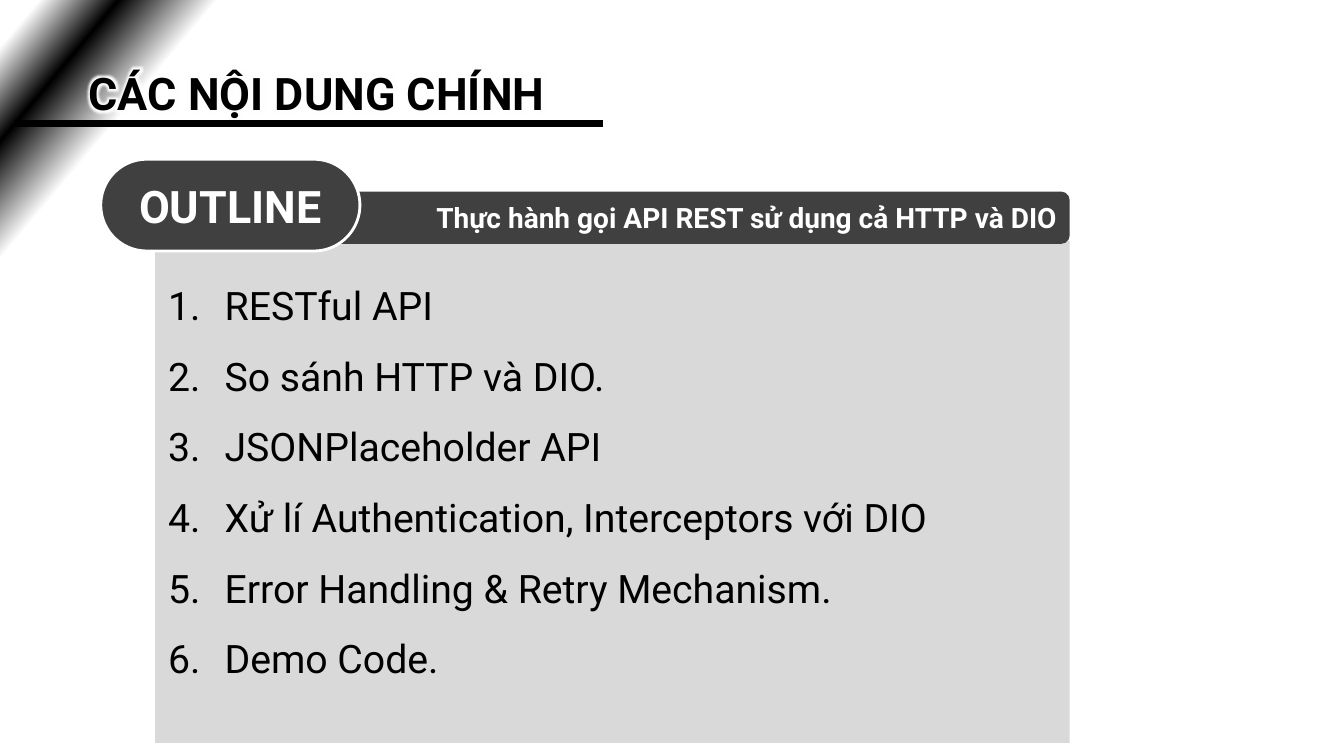
from dataclasses import dataclass

from lxml import etree
from pptx import Presentation
from pptx import util as u
from pptx.dml.color import RGBColor
from pptx.enum import shapes, text
from pptx.oxml import ns


@dataclass(frozen=True)
class Theme:
    font: str = "Roboto"
    black: str = "000000"
    white: str = "FFFFFF"
    dark: str = "404040"
    panel: str = "D9D9D9"
    heading: int = 32
    body: int = 28
    caption: int = 20


THEME = Theme()
TOPICS = (
    "RESTful API",
    "So sánh HTTP và DIO.",
    "JSONPlaceholder API",
    "Xử lí Authentication, Interceptors với DIO",
    "Error Handling & Retry Mechanism.",
    "Demo Code.",
)


def rgb(value):
    return RGBColor.from_string(value)


def element(parent, tag, **attrs):
    return etree.SubElement(parent, ns.qn(tag), attrs)


def add_run(p, content, size, color, bold=False):
    r = p.add_run()
    r.text = content
    r.font.name = THEME.font
    r.font.size = u.Pt(size)
    r.font.bold = bold
    r.font.color.rgb = rgb(color)
    return r


def add_textbox(s, left, top, width, height):
    box = s.shapes.add_textbox(
        u.Inches(left), u.Inches(top), u.Inches(width), u.Inches(height))
    tf = box.text_frame
    tf.word_wrap = True
    tf.auto_size = text.MSO_AUTO_SIZE.SHAPE_TO_FIT_TEXT
    return tf


def add_block(s, kind, left, top, width, height, fill):
    sp = s.shapes.add_shape(
        kind, u.Inches(left), u.Inches(top), u.Inches(width), u.Inches(height))
    sp.shadow.inherit = False
    sp.fill.solid()
    sp.fill.fore_color.rgb = rgb(fill)
    sp.line.fill.background()
    return sp


def add_label(sp, content, size, align):
    tf = sp.text_frame
    tf.word_wrap = True
    tf.vertical_anchor = text.MSO_ANCHOR.MIDDLE
    p = tf.paragraphs[0]
    p.alignment = align
    add_run(p, content, size, THEME.white, True)


def paint_background(s):
    fill = s.background.fill
    fill.gradient()
    grad = s.background._cSld.find(".//" + ns.qn("a:gradFill"))
    for child in list(grad):
        grad.remove(child)
    stops = element(grad, "a:gsLst")
    for position, color in ((2, THEME.white), (6, THEME.black), (11, THEME.white)):
        stop = element(stops, "a:gs", pos=str(position * 1000))
        element(stop, "a:srgbClr", val=color)
    element(grad, "a:lin", ang=str(40 * 60000), scaled="0")


def add_title(s, left, top, width, height):
    tf = add_textbox(s, left, top, width, height)
    r = add_run(tf.paragraphs[0], "CÁC NỘI DUNG CHÍNH",
                THEME.heading, THEME.black, True)
    effects = etree.Element(ns.qn("a:effectLst"))
    glow = element(effects, "a:glow", rad=str(u.Pt(8)))
    element(glow, "a:srgbClr", val=THEME.white)
    r.font._element.find(ns.qn("a:solidFill")).addnext(effects)

    y = u.Inches(top + height - 0.01)
    rule = s.shapes.add_connector(
        shapes.MSO_CONNECTOR.STRAIGHT,
        u.Inches(left - 0.63), y, u.Inches(left + 5.2), y)
    rule.line.color.rgb = rgb(THEME.black)
    rule.line.width = u.Pt(5)
    element(rule._element.spPr, "a:effectLst")


def add_topics(s, left, top, width, height):
    add_block(s, shapes.MSO_SHAPE.RECTANGLE, left, top, width, height, THEME.panel)
    tf = add_textbox(s, left + 0.03, top + 0.12, 8.4, 4.25)
    for i, topic in enumerate(TOPICS):
        p = tf.add_paragraph() if i else tf.paragraphs[0]
        p.line_spacing = 1.5
        pPr = p._p.get_or_add_pPr()
        pPr.set("marL", str(u.Inches(0.56)))
        pPr.set("indent", str(u.Inches(-0.56)))
        element(pPr, "a:buFont", typeface="+mj-lt")
        element(pPr, "a:buAutoNum", type="arabicPeriod")
        add_run(p, topic, THEME.body, THEME.black)


def add_header(s, left, top, width, height):
    kind = shapes.MSO_SHAPE.ROUNDED_RECTANGLE
    bar = add_block(s, kind, left + 2.07, top + 0.32, width - 2.07, 0.52, THEME.dark)
    add_label(bar, "Thực hành gọi API REST sử dụng cả HTTP và DIO",
              THEME.caption, text.PP_ALIGN.RIGHT)

    badge = add_block(s, kind, left, top, 2.57, height, THEME.dark)
    badge.adjustments[0] = 0.5
    badge.line.color.rgb = rgb(THEME.white)
    badge.line.width = u.Pt(2)
    add_label(badge, "OUTLINE", THEME.heading, text.PP_ALIGN.CENTER)


def build_outline_slide(prs):
    s = prs.slides.add_slide(prs.slide_layouts[6])
    paint_background(s)
    add_title(s, 0.78, 0.6, 9.83, 0.64)
    add_topics(s, 1.54, 2.39, 9.07, 4.98)
    add_header(s, 1, 1.58, 9.61, 0.91)


def main():
    prs = Presentation()
    prs.slide_width = u.Inches(13.33)
    prs.slide_height = u.Inches(7.5)
    build_outline_slide(prs)
    prs.save("out.pptx")


if __name__ == "__main__":
    main()
